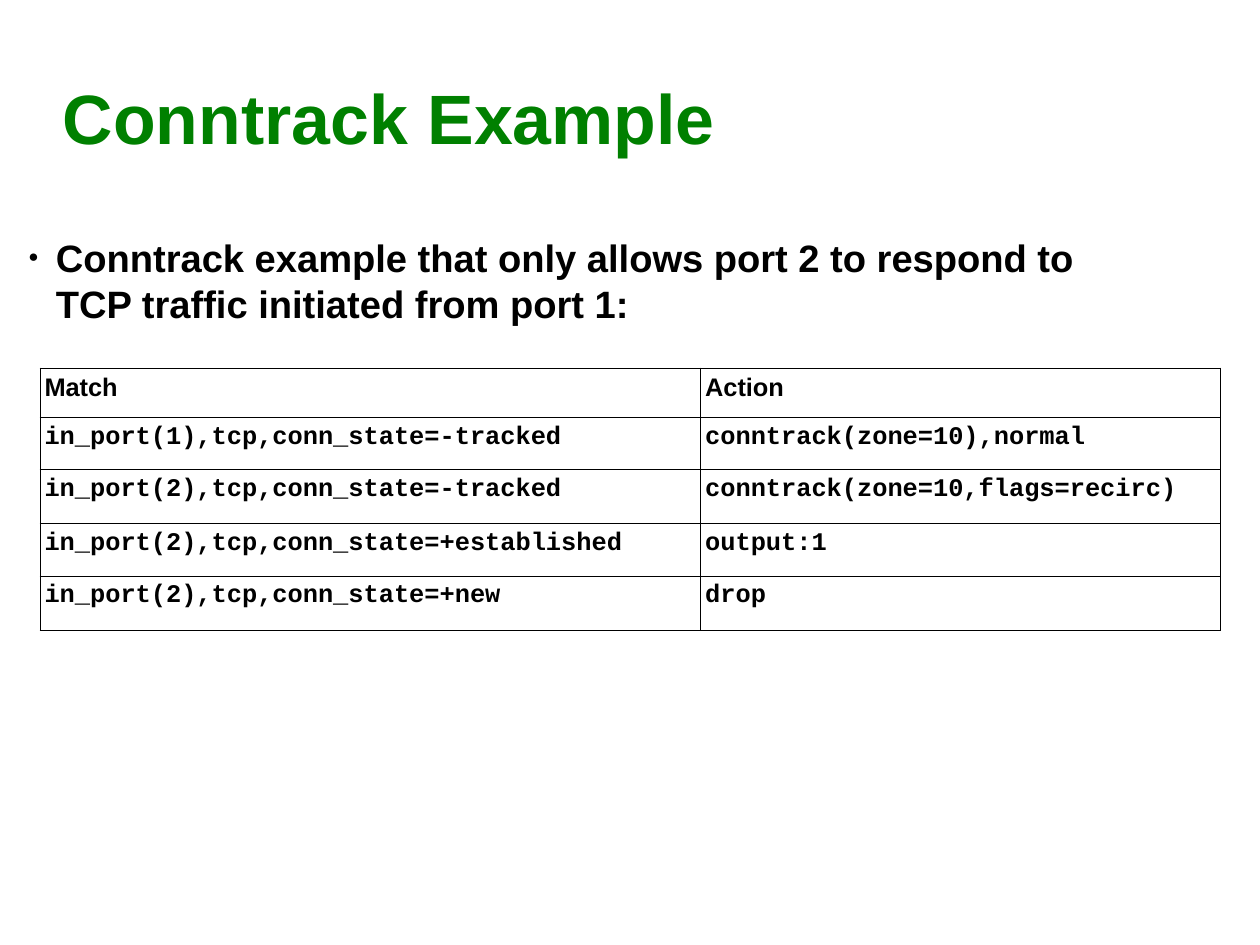
from pptx import Presentation, util as u
from pptx.dml.color import RGBColor
from pptx.enum import text
from pptx.oxml import parse_xml
from pptx.oxml.ns import nsdecls

TITLE = "Conntrack Example"
BULLET = "Conntrack example that only allows port 2 to respond to TCP traffic initiated from port 1:"
ROWS = [
    ("Match", "Action"),
    ("in_port(1),tcp,conn_state=-tracked", "conntrack(zone=10),normal"),
    ("in_port(2),tcp,conn_state=-tracked", "conntrack(zone=10,flags=recirc)"),
    ("in_port(2),tcp,conn_state=+established", "output:1"),
    ("in_port(2),tcp,conn_state=+new", "drop"),
]
COLUMN_WIDTHS = (5.78, 4.55)
ROW_HEIGHTS = (0.43, 0.46, 0.47, 0.46, 0.48)
BLACK, GREEN = "000000", "008000"


def color(value):
    return RGBColor.from_string(value)


def write(frame, content, size, font="Arial", fill=BLACK, insets=(0, 0)):
    frame.word_wrap = True
    frame.margin_left = frame.margin_right = u.Inches(insets[0])
    frame.margin_top = frame.margin_bottom = u.Inches(insets[1])
    paragraph = frame.paragraphs[0]
    paragraph.alignment = text.PP_ALIGN.LEFT
    run = paragraph.add_run()
    run.text = content
    run.font.size = u.Pt(size)
    run.font.name = font
    run.font.bold = True
    run.font.color.rgb = color(fill)
    return paragraph


def add_bullet(paragraph, left, hanging, percent):
    properties = paragraph._p.get_or_add_pPr()
    properties.set("marL", str(u.Inches(left)))
    properties.set("indent", str(u.Inches(-hanging)))
    for element in (
        f'<a:buClr {nsdecls("a")}><a:srgbClr val="{BLACK}"/></a:buClr>',
        f'<a:buSzPct {nsdecls("a")} val="{percent * 1000}"/>',
        f'<a:buFont {nsdecls("a")} typeface="Arial"/>',
        f'<a:buChar {nsdecls("a")} char="●"/>',
    ):
        properties.append(parse_xml(element))


def add_borders(cell, width):
    properties = cell._tc.get_or_add_tcPr()
    for side in "LRTB":
        properties.append(parse_xml(
            f'<a:ln{side} {nsdecls("a")} w="{u.Pt(width)}"><a:solidFill>'
            f'<a:srgbClr val="{BLACK}"/></a:solidFill></a:ln{side}>'))


def add_rules_table(slide, left, top):
    table = slide.shapes.add_table(
        len(ROWS), len(COLUMN_WIDTHS), u.Inches(left), u.Inches(top),
        u.Inches(sum(COLUMN_WIDTHS)), u.Inches(sum(ROW_HEIGHTS))).table
    table.first_row = table.horz_banding = False
    for column, width in zip(table.columns, COLUMN_WIDTHS):
        column.width = u.Inches(width)
    for index, (row, height, values) in enumerate(zip(table.rows, ROW_HEIGHTS, ROWS)):
        row.height = u.Inches(height)
        for cell, value in zip(row.cells, values):
            write(cell.text_frame, value, 16, font="Courier New" if index else "Arial")
            cell.margin_left = cell.margin_right = u.Inches(0.04)
            cell.margin_top = cell.margin_bottom = u.Inches(0.05)
            add_borders(cell, 0.57)
            cell.fill.background()


def main():
    presentation = Presentation()
    presentation.slide_width = u.Cm(28)
    presentation.slide_height = u.Cm(21)
    slide = presentation.slides.add_slide(presentation.slide_layouts[5])

    title = slide.shapes.title
    title.left, title.top, title.width, title.height = map(u.Inches, (0.55, 0.33, 9.92, 1.38))
    title.text_frame.vertical_anchor = text.MSO_ANCHOR.MIDDLE
    write(title.text_frame, TITLE, 44, fill=GREEN)

    add_rules_table(slide, 0.35, 3.22)

    box = slide.shapes.add_textbox(*map(u.Inches, (-0.08, 2, 9.7, 0.84)))
    paragraph = write(box.text_frame, BULLET, 24, insets=(0.1, 0.05))
    paragraph.level = 1
    paragraph.line_spacing = 1.0
    add_bullet(paragraph, 0.47, 0.24, 45)

    presentation.save("out.pptx")


if __name__ == "__main__":
    main()
